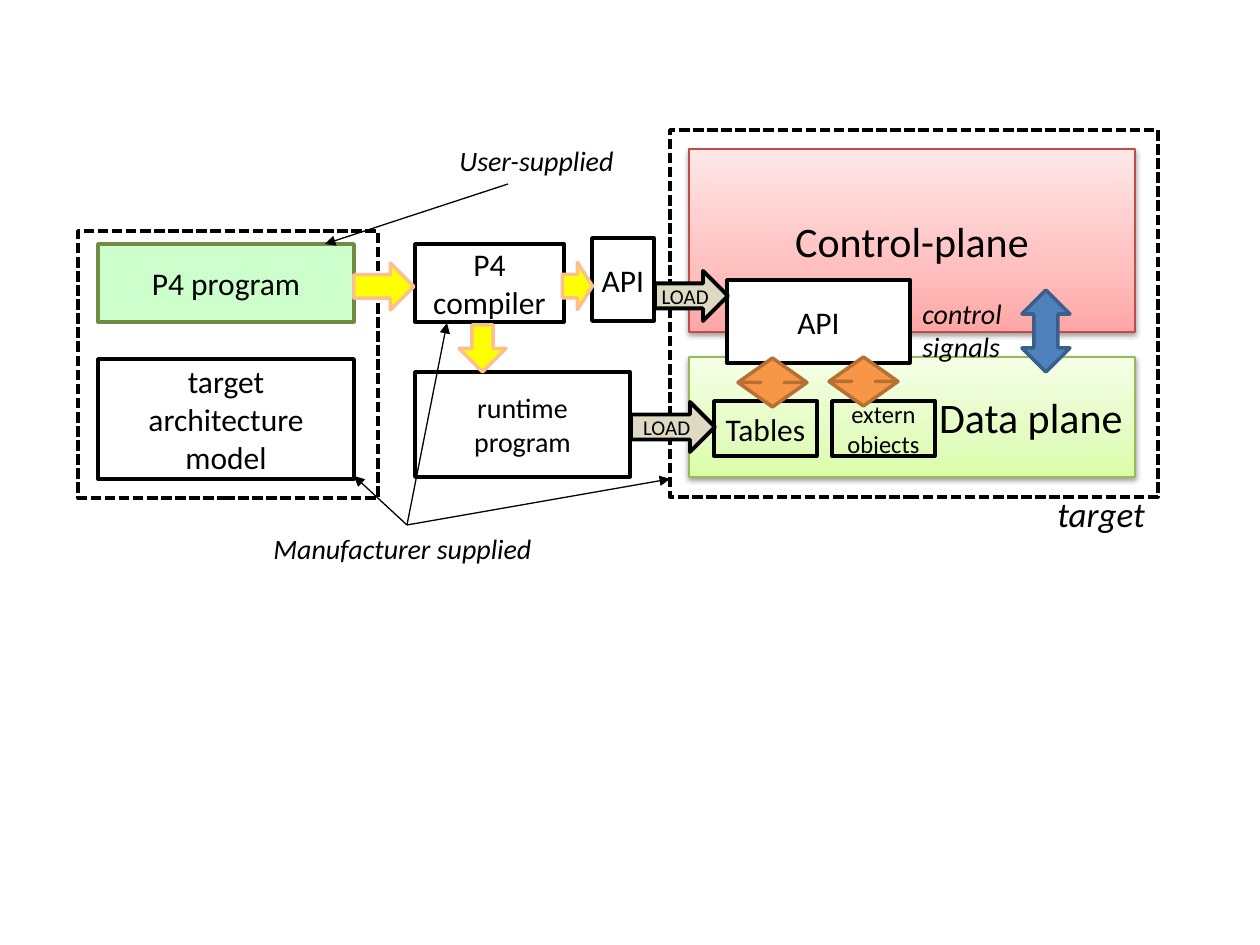
import copy
from dataclasses import dataclass

import pptx
import pptx.dml.color
import pptx.enum.dml
import pptx.enum.shapes
import pptx.enum.text
import pptx.oxml
import pptx.oxml.ns
import pptx.util

SHAPE = pptx.enum.shapes.MSO_SHAPE
ALIGN = pptx.enum.text.PP_ALIGN
PX = 914400 // 126
DRAWING_NS = pptx.oxml.ns.nsdecls("a")


@dataclass(frozen=True)
class Theme:
    font: str = "Calibri"
    ink: str = "000000"
    paper: str = "FFFFFF"
    program: tuple = ("CCFFCC", "738A42")
    yellow: tuple = ("FFFF00", "FAC090")
    blue: tuple = ("4F81BD", "3A5F8C")
    orange: tuple = ("F79646", "B76F34")
    load: tuple = ("DDD9C3", "000000")
    red_plane: tuple = ("FFA6A5", "FFC0BF", "FFE7E7")
    red_edge: str = "BF4C48"
    green_plane: tuple = ("DAFDA7", "E4FCC2", "F5FFE7")
    green_edge: str = "98B955"
    plane_size: int = 24
    target_size: int = 20
    box_size: int = 18
    note_size: int = 16
    extern_size: int = 14
    load_size: int = 12
    hairline: float = 0.75
    line: float = 2
    load_line: float = 2.25


THEME = Theme()
OUTLINE = (None, THEME.ink)
SOLID = (THEME.paper, THEME.ink)

# Places are (left, top, width, height) in px.
PLANES = [
    ("Data plane", (689, 357, 446, 120), THEME.green_plane, THEME.green_edge, ALIGN.RIGHT),
    ("Control-plane", (689, 149, 446, 183), THEME.red_plane, THEME.red_edge, ALIGN.CENTER),
]
DASHED_FRAMES = [(78, 231, 300, 267), (670, 130, 488, 367)]
# text, place, (fill, line), type size, wrap
BOXES = [
    ("P4 program", (98, 244, 256, 78), THEME.program, THEME.box_size, True),
    ("target\varchitecture\nmodel", (98, 359, 256, 120), OUTLINE, THEME.box_size, True),
    ("P4 compiler", (415, 244, 149, 78), OUTLINE, THEME.box_size, True),
    ("runtime\nprogram", (415, 372, 215, 105), OUTLINE, THEME.note_size, True),
    ("API", (592, 238, 62, 83), SOLID, THEME.box_size, False),
    ("API", (727, 280, 183, 83), SOLID, THEME.box_size, True),
    ("Tables", (714, 401, 103, 55), OUTLINE, THEME.box_size, False),
    ("extern\vobjects", (832, 401, 103, 55), OUTLINE, THEME.extern_size, False),
]
# preset, place, (fill, line), rotation, adjustments
ARROWS = [
    (SHAPE.DOWN_ARROW, (459, 325, 47, 47), THEME.yellow, 0, (0.45, 0.5)),
    (SHAPE.RIGHT_ARROW, (354, 263, 60, 47), THEME.yellow, 0, ()),
    (SHAPE.DOWN_ARROW, (554, 271, 47, 30), THEME.yellow, 270, ()),
    (SHAPE.LEFT_RIGHT_ARROW, (1005, 307, 82, 48), THEME.blue, 270, ()),
    (SHAPE.UP_DOWN_ARROW, (738, 358, 69, 49), THEME.orange, 0, (0.5, 0.34)),
    (SHAPE.UP_DOWN_ARROW, (829, 357, 69, 49), THEME.orange, 0, (0.5, 0.34)),
]
LOAD_ARROWS = [(631, 402, 84, 50), (655, 271, 73, 50)]
NOTES = [
    ("target", (1045, 486, 113, 55), THEME.target_size),
    ("User-supplied", (447, 137, 189, 47), THEME.note_size),
    ("Manufacturer supplied", (261, 525, 294, 47), THEME.note_size),
    ("control\nsignals", (910, 290, 113, 81), THEME.note_size),
]
# start point, end points
POINTERS = [
    ((508, 184), [(325, 244)]),
    ((407, 525), [(354, 476), (447, 323), (670, 479)]),
]


def rgb(value):
    return pptx.dml.color.RGBColor.from_string(value)


def emu(lengths):
    return [length * PX for length in lengths]


def write(shape, text, size, align=ALIGN.CENTER, wrap=True, italic=False):
    frame = shape.text_frame
    frame.text = text
    frame.word_wrap = wrap
    for paragraph in frame.paragraphs:
        paragraph.alignment = align
        paragraph.font.name = THEME.font
        paragraph.font.size = pptx.util.Pt(size)
        paragraph.font.italic = italic
        paragraph.font.color.rgb = rgb(THEME.ink)
    return frame


def add_shape(slide, preset, place, colours, width=THEME.line):
    fill, line = colours
    shape = slide.shapes.add_shape(preset, *emu(place))
    shape.shadow.inherit = False
    if fill:
        shape.fill.solid()
        shape.fill.fore_color.rgb = rgb(fill)
    else:
        shape.fill.background()
    shape.line.color.rgb = rgb(line)
    shape.line.width = pptx.util.Pt(width)
    return shape


def shade_plane(shape, colours):
    """Give a plane its three-stop vertical gradient and soft shadow."""
    shape.fill.gradient()
    shape.fill.gradient_angle = 90
    properties = shape._element.spPr
    stop_list = properties.find(".//" + pptx.oxml.ns.qn("a:gsLst"))
    stop_list.append(copy.deepcopy(stop_list[-1]))
    for stop, position, colour in zip(shape.fill.gradient_stops, (0, 0.35, 1), colours):
        stop.position = position
        stop.color.rgb = rgb(colour)
    effects = properties.find(pptx.oxml.ns.qn("a:effectLst"))
    effects.append(pptx.oxml.parse_xml(
        f'<a:outerShdw {DRAWING_NS} blurRad="40000" dist="20000" dir="5400000" '
        f'rotWithShape="0"><a:srgbClr val="{THEME.ink}"><a:alpha val="38000"/>'
        '</a:srgbClr></a:outerShdw>'))


def add_pointer(slide, start, end):
    connector = slide.shapes.add_connector(
        pptx.enum.shapes.MSO_CONNECTOR.STRAIGHT, *emu(start + end))
    connector.line.color.rgb = rgb(THEME.ink)
    connector.line.width = pptx.util.Pt(THEME.hairline)
    connector.line._get_or_add_ln().append(
        pptx.oxml.parse_xml(f'<a:tailEnd {DRAWING_NS} type="triangle"/>'))
    connector._element.spPr.append(pptx.oxml.parse_xml(f"<a:effectLst {DRAWING_NS}/>"))


def main():
    presentation = pptx.Presentation()
    presentation.slide_width = pptx.util.Inches(10)
    presentation.slide_height = pptx.util.Inches(7.5)
    slide = presentation.slides.add_slide(presentation.slide_layouts[6])

    for text, place, colours, edge, align in PLANES:
        plane = add_shape(slide, SHAPE.RECTANGLE, place, (None, edge), THEME.hairline)
        shade_plane(plane, colours)
        write(plane, text, THEME.plane_size, align)
    for place in DASHED_FRAMES:
        frame = add_shape(slide, SHAPE.RECTANGLE, place, OUTLINE)
        frame.line.dash_style = pptx.enum.dml.MSO_LINE.SQUARE_DOT
    for text, place, colours, size, wrap in BOXES:
        write(add_shape(slide, SHAPE.RECTANGLE, place, colours), text, size, wrap=wrap)
    for preset, place, colours, rotation, adjustments in ARROWS:
        arrow = add_shape(slide, preset, place, colours)
        arrow.rotation = rotation
        for index, value in enumerate(adjustments):
            arrow.adjustments[index] = value
    for place in LOAD_ARROWS:
        arrow = add_shape(slide, SHAPE.RIGHT_ARROW, place, THEME.load, THEME.load_line)
        write(arrow, "LOAD", THEME.load_size, wrap=False)
    for text, place, size in NOTES:
        note = slide.shapes.add_textbox(*emu(place))
        frame = write(note, text, size, ALIGN.LEFT, wrap=False, italic=True)
        frame.auto_size = pptx.enum.text.MSO_AUTO_SIZE.SHAPE_TO_FIT_TEXT
    for start, ends in POINTERS:
        for end in ends:
            add_pointer(slide, start, end)

    presentation.save("out.pptx")


if __name__ == "__main__":
    main()
